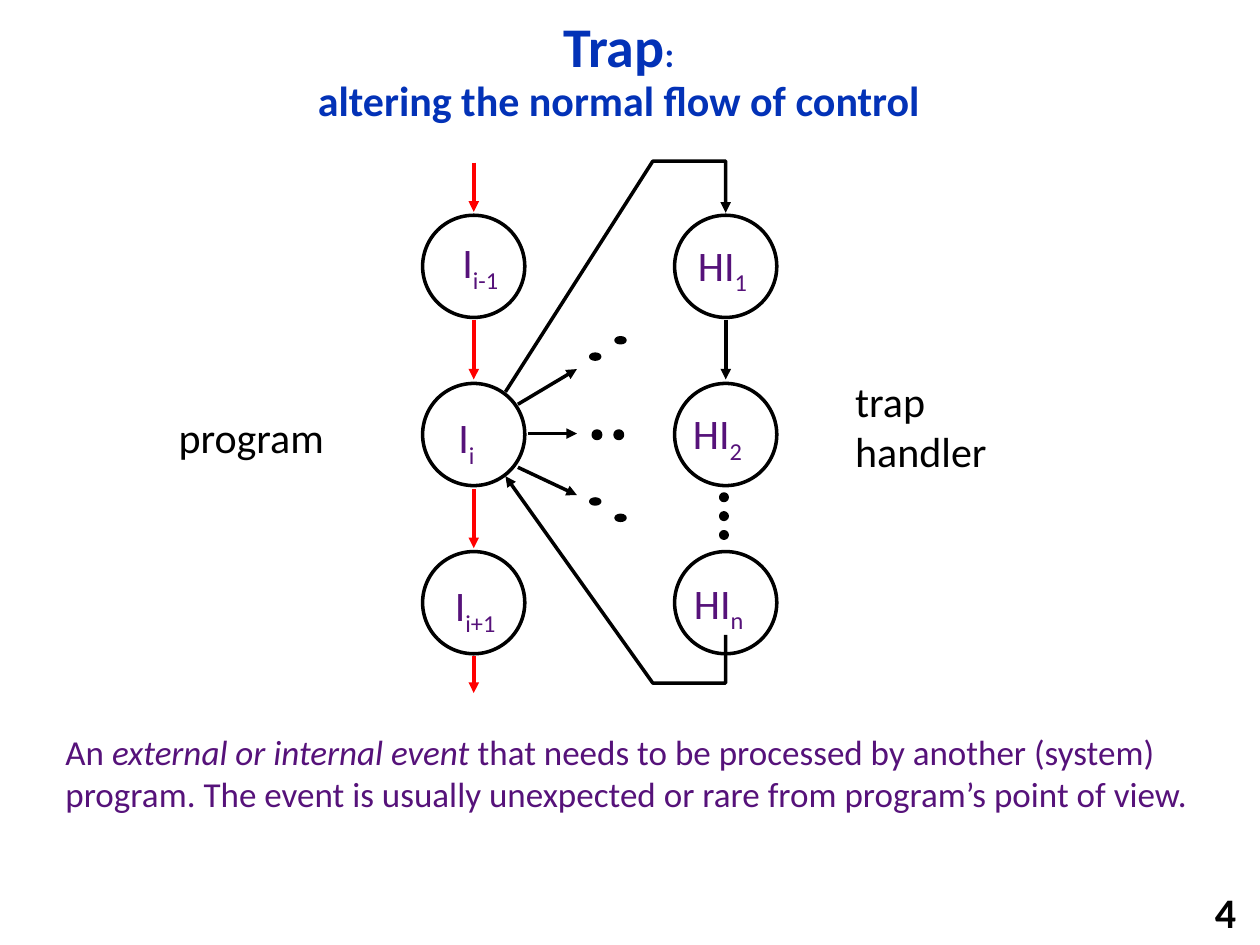
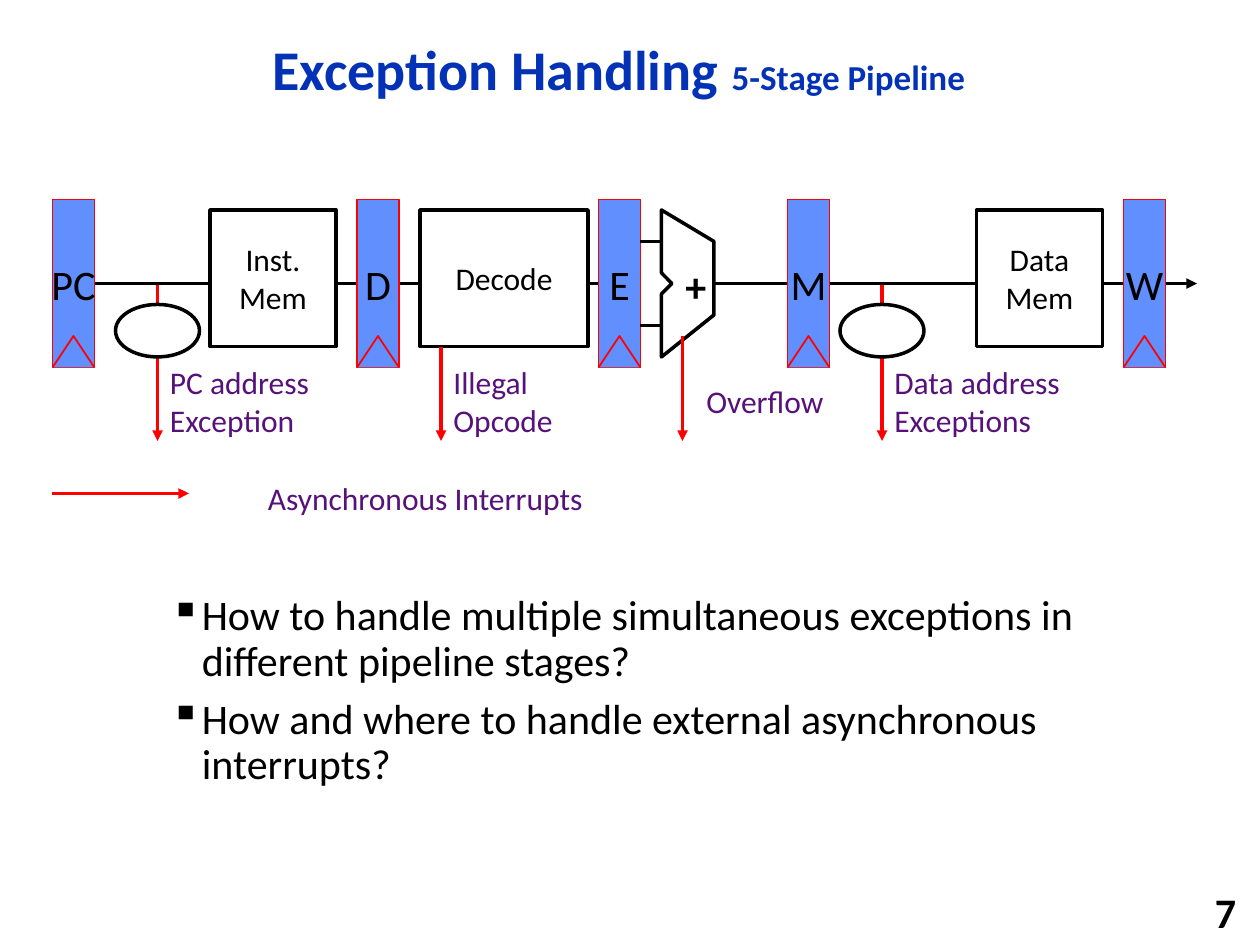
from dataclasses import dataclass

from lxml.etree import SubElement as Sub
from pptx import Presentation
from pptx.dml.color import RGBColor
from pptx.enum.shapes import MSO_CONNECTOR as Link, MSO_SHAPE as Kind
from pptx.enum.text import MSO_ANCHOR as Anchor, PP_ALIGN as Align
from pptx.oxml.ns import qn
from pptx.util import Cm, Pt

FONT = "Calibri"
BLACK, WHITE, RED = "000000", "FFFFFF", "FF0000"
NAVY, PLUM, SKY = "0332B7", "56127A", "618FFD"
MID, LEFT = Align.CENTER, Align.LEFT


@dataclass
class Box:
    """A place on the slide, in centimetres."""
    x: float
    y: float
    w: float
    h: float

    def place(self) -> list:
        return [Cm(v) for v in (self.x, self.y, self.w, self.h)]


@dataclass
class Run:
    text: str
    size: float = 24
    color: str = BLACK
    bold: bool = False
    slant: bool = False
    sub: bool = False


@dataclass
class Stage:
    name: str
    x: float


def rgb(code: str) -> RGBColor:
    return RGBColor.from_string(code)


def grid(*steps: float) -> list[float]:
    """Turn steps of a twelfth of an inch into centimetres."""
    return [n * 2.54 / 12 for n in steps]


def add_run(para, run: Run) -> None:
    part = para.add_run()
    part.text = run.text
    font = part.font
    font.name, font.size, font.bold = FONT, Pt(run.size), run.bold
    font.italic = run.slant
    font.color.rgb = rgb(run.color)
    if run.sub:
        font._element.set("baseline", "-25000")


def write(shape, paras: list[list[Run]], align=LEFT, anchor=Anchor.TOP,
          wrap: bool = True) -> list:
    frame = shape.text_frame
    frame.word_wrap, frame.vertical_anchor = wrap, anchor
    for i, runs in enumerate(paras):
        para = frame.add_paragraph() if i else frame.paragraphs[0]
        para.alignment = align
        for run in runs:
            add_run(para, run)
    return list(frame.paragraphs)


def text(slide, box: Box, *paras: list[Run], **style) -> list:
    return write(slide.shapes.add_textbox(*box.place()), list(paras), **style)


def paint(shape, fill: str | None, line: str, width: float) -> None:
    shape.shadow.inherit = False
    if fill:
        shape.fill.solid()
        shape.fill.fore_color.rgb = rgb(fill)
    else:
        shape.fill.background()
    shape.line.color.rgb = rgb(line)
    shape.line.width = Pt(width)


def draw(slide, kind, box: Box, fill: str | None = None, line: str = BLACK,
         width: float = 2):
    shape = slide.shapes.add_shape(kind, *box.place())
    paint(shape, fill, line, width)
    return shape


def tip(shape) -> None:
    """Put an arrowhead at the end of a line."""
    Sub(shape.line._get_or_add_ln(), qn("a:tailEnd"), type="triangle")


def rule(slide, x1: float, y1: float, x2: float, y2: float,
         color: str = BLACK, arrow: bool = True) -> None:
    ends = [Cm(v) for v in (x1, y1, x2, y2)]
    line = slide.shapes.add_connector(Link.STRAIGHT, *ends)
    line.line.color.rgb = rgb(color)
    line.line.width = Pt(2)
    if arrow:
        tip(line)
    Sub(line._element.spPr, qn("a:effectLst"))


def path(slide, spots: list, fill: str | None = None, line: str = BLACK,
         width: float = 2, close: bool = False):
    first, *rest = [(Cm(x), Cm(y)) for x, y in spots]
    pen = slide.shapes.build_freeform(*first)
    pen.add_line_segments(rest, close=close)
    shape = pen.convert_to_shape()
    paint(shape, fill, line, width)
    return shape


def start(deck, page: int, *lines: list[Run]):
    """Add a slide with its title lines and page number."""
    slide = deck.slides.add_slide(deck.slide_layouts[6])
    para, = text(slide, Box(2.34, 0.43, 20.27, 2.06), lines[0],
                 align=MID, anchor=Anchor.MIDDLE)
    para.line_spacing = 0.9
    for runs in lines[1:]:
        para.add_line_break()
        for run in runs:
            add_run(para, run)
    text(slide, Box(19.89, 17.98, 5.28, 0.81), [Run(str(page), bold=True)],
         align=Align.RIGHT, anchor=Anchor.MIDDLE, wrap=False)
    return slide


def head(words: str, size: float) -> Run:
    return Run(words, size, NAVY, bold=True)


def trap(deck) -> None:
    slide = start(deck, 4, [head("Trap", 32), head(":", 20)],
                  [head("altering the normal flow of control", 24)])
    main, side = 9.55, 14.63
    top, pitch, size = 5.37, 3.39, 2.06
    for x in (main, side):
        for row in range(3):
            y = top + row * pitch
            draw(slide, Kind.OVAL, Box(x - size / 2, y - size / 2, size, size))

    for y1, y2 in ((3.28, 4.27), (6.45, 7.65), (9.86, 11.05), (13.23, 13.97)):
        rule(slide, main, y1, main, y2, RED)
    rule(slide, side, 6.45, side, 7.65)
    for x, y1, y2 in ((10.44, 8.15, 7.44), (10.64, 8.74, 8.74),
                      (10.44, 9.42, 9.98)):
        rule(slide, x, y1, 11.63, y2)

    bend = 13.16
    call = [(10.19, 7.9), (bend, 3.25), (side, 3.25), (side, 4.29)]
    back = [(side, 12.8), (side, 13.77), (bend, 13.77), (10.19, 9.6)]
    for spots in (call, back):
        tip(path(slide, spots))

    dots = [Box(x, y, 0.18, 0.1) for x, y in
            ((11.91, 7.14), (12.42, 6.81), (11.91, 10.06), (12.42, 10.39))]
    dots += [Box(x, 8.69, 0.15, 0.15) for x in (11.96, 12.4)]
    dots += [Box(14.53, 9.96 + 0.38 * i, 0.13, 0.13) for i in range(3)]
    for dot in dots:
        draw(slide, Kind.OVAL, dot, BLACK)

    for name, sub, x, y, w in (
            ("I", "i-1", 9.07, 4.65, 1.32), ("I", "i", 8.99, 8.18, 0.86),
            ("I", "i+1", 8.92, 11.56, 1.42), ("HI", "1", 13.82, 4.7, 1.55),
            ("HI", "2", 13.72, 8.1, 1.55), ("HI", "n", 13.74, 11.51, 1.55)):
        text(slide, Box(x, y, w, 1.27),
             [Run(name, color=PLUM), Run(sub, color=PLUM, sub=True)],
             wrap=False)

    text(slide, Box(3.35, 8.18, 3.51, 1.27), [Run("program")], wrap=False)
    text(slide, Box(16.99, 7.44, 3.2, 2.31), [Run("trap")], [Run("handler")],
         wrap=False)
    text(slide, Box(1.07, 14.6, 23.29, 2.79), [
        Run("An ", 20, PLUM),
        Run("external or internal event", 20, PLUM, slant=True),
        Run(" that needs to be processed by another (system) program. "
            "The event is usually unexpected or rare from program’s "
            "point of view.", 20, PLUM)])


def latch(slide, stage: Stage) -> None:
    """Draw a pipeline register with its clock notch."""
    bar = draw(slide, Kind.RECTANGLE, Box(*grid(stage.x, 19, 4, 16)),
               SKY, RED, 1)
    write(bar, [[Run(stage.name)]], MID, Anchor.MIDDLE, wrap=False)
    notch = [grid(stage.x + dx, y) for dx, y in ((0, 35), (2, 32), (4, 35))]
    path(slide, notch, SKY, RED, 1)


def faults(deck) -> None:
    slide = start(deck, 7, [head("Exception Handling ", 32),
                            head("5-Stage Pipeline", 20)])
    for x in (15, 84):
        rule(slide, *grid(x, 27, x, 42), RED)
    rule(slide, *grid(68, 27, 114, 27))
    rule(slide, *grid(7, 27, 57, 27), arrow=False)
    for x in (11, 80):
        draw(slide, Kind.OVAL, Box(*grid(x, 29, 8, 5)), WHITE)

    for stage in (Stage("PC", 5), Stage("D", 34), Stage("E", 57),
                  Stage("M", 75), Stage("W", 107)):
        latch(slide, stage)
    for name, x, w in (("Inst. Mem", 20, 12), ("Decode", 40, 16),
                       ("Data Mem", 93, 12)):
        block = draw(slide, Kind.RECTANGLE, Box(*grid(x, 20, w, 13)), WHITE)
        write(block, [[Run(name, 18)]], MID, Anchor.MIDDLE)

    adder = ((63, 20), (63, 26), (64, 27), (63, 28), (63, 34), (68, 30),
             (68, 23))
    path(slide, [grid(*spot) for spot in adder], WHITE, close=True)
    for y in (23, 31):
        rule(slide, *grid(61, y, 63, y), arrow=False)
    text(slide, Box(*grid(64.1, 25, 3.7, 4.4)), [Run("+", bold=True)],
         align=MID, anchor=Anchor.MIDDLE, wrap=False)

    for words, x, y, w, h, align in (
            ("PC address Exception", 15, 34, 21, 8.4, LEFT),
            ("Illegal Opcode", 42, 34, 16, 8.4, LEFT),
            ("Overflow", 66, 35.8, 13.7, 4.8, MID),
            ("Data address Exceptions", 84, 34, 24, 8.4, LEFT),
            ("Asynchronous Interrupts", 19, 45, 43, 4.8, MID)):
        text(slide, Box(*grid(x, y, w, h)), [Run(words, 18, PLUM)],
             align=align, anchor=Anchor.MIDDLE)
    for ends in ((42, 33, 42, 42), (65, 32, 65, 42), (5, 47, 18, 47)):
        rule(slide, *grid(*ends), RED)

    asks = text(
        slide, Box(3.18, 11.86, 19.18, 5.08),
        [Run("How to handle multiple simultaneous exceptions in "
             "different pipeline stages?")],
        [Run("How and where to handle external asynchronous interrupts?")])
    for i, para in enumerate(asks):
        props = para._p.get_or_add_pPr()
        hang = Cm(0.64)
        props.set("marL", str(hang))
        props.set("indent", str(-hang))
        Sub(props, qn("a:buChar"), char="▪")
        para.line_spacing = 0.9
        if i:
            para.space_before = Pt(7.2)


def main() -> None:
    deck = Presentation()
    deck.slide_width, deck.slide_height = Cm(25.4), Cm(19.05)
    trap(deck)
    faults(deck)
    deck.save("out.pptx")


if __name__ == "__main__":
    main()
